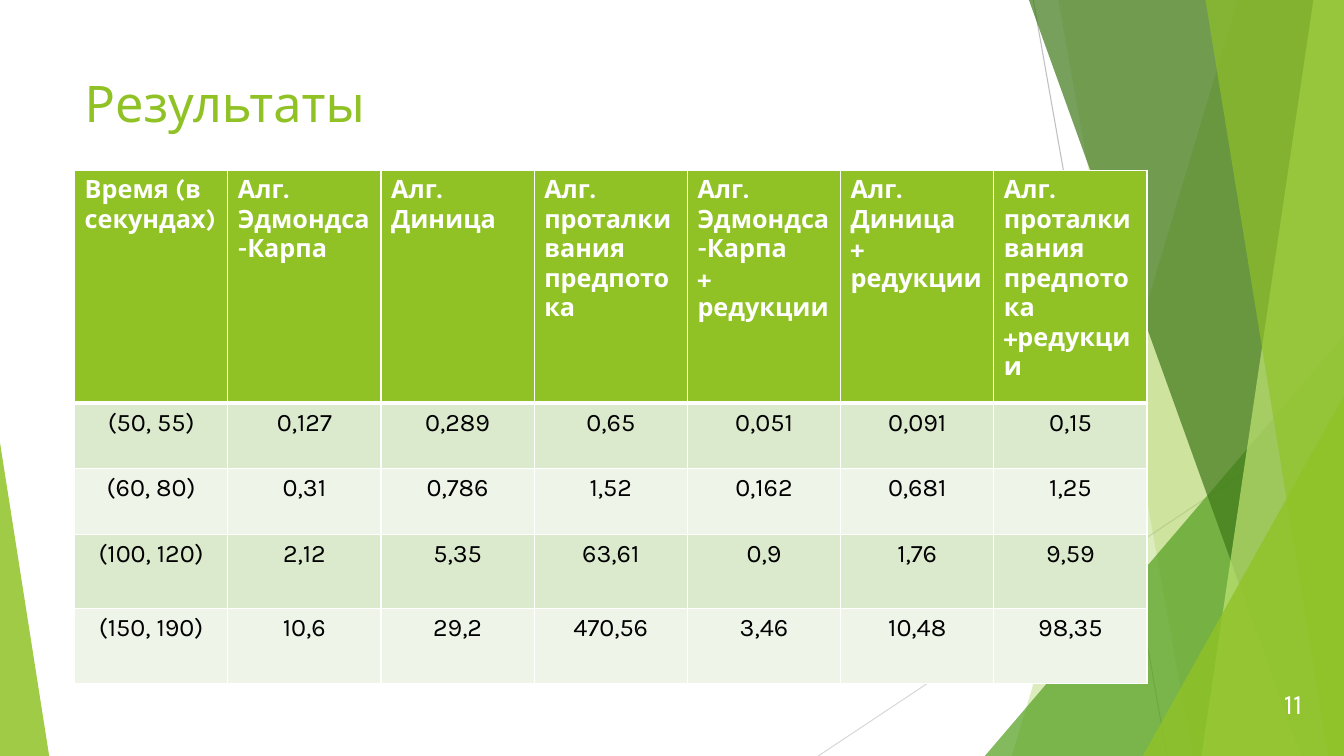
from lxml import etree
from pptx import Presentation
from pptx.dml.color import RGBColor
from pptx.enum.shapes import MSO_CONNECTOR, MSO_SHAPE
from pptx.enum.text import MSO_ANCHOR, PP_ALIGN
from pptx.oxml.ns import qn
from pptx.util import Cm, Pt

W, H = 33.87, 19.05
FONT = "Karla"
COLORS = {
    "green": "90C226", "leaf": "54A021", "forest": "3F7819", "lime": "C0E474",
    "band_dark": "DBE9CD", "band_light": "EEF4E8",
    "line_dark": "BFBFBF", "line_light": "D9D9D9",
    "white": "FFFFFF", "black": "000000",
}
HEADER = [
    ["Время (в секундах)"],
    ["Алг. Эдмондса-Карпа"],
    ["Алг. Диница"],
    ["Алг. проталкивания предпотока"],
    ["Алг. Эдмондса-Карпа", "+ редукции"],
    ["Алг. Диница", "+ редукции"],
    ["Алг. проталкивания предпотока", "+редукции"],
]
TIMES = [
    ["(50, 55)", "0,127", "0,289", "0,65", "0,051", "0,091", "0,15"],
    ["(60, 80)", "0,31", "0,786", "1,52", "0,162", "0,681", "1,25"],
    ["(100, 120)", "2,12", "5,35", "63,61", "0,9", "1,76", "9,59"],
    ["(150, 190)", "10,6", "29,2", "470,56", "3,46", "10,48", "98,35"],
]
ROW_HEIGHTS = [5.87, 1.65, 1.65, 1.88, 1.88]


def rgb(name):
    return RGBColor.from_string(COLORS[name])


def add_run(p, text, size, color, bold=False):
    r = p.add_run()
    r.text = text
    r.font.name, r.font.size, r.font.bold = FONT, Pt(size), bold
    r.font.color.rgb = rgb(color)


def paint(sp, color, opacity):
    """Fill a shape with a see-through colour, without line or shadow."""
    sp.shadow.inherit = False
    sp.line.fill.background()
    sp.fill.solid()
    sp.fill.fore_color.rgb = rgb(color)
    clr = sp.element.spPr.find(qn("a:solidFill"))[0]
    etree.SubElement(clr, qn("a:alpha"), val=str(opacity * 1000))


def add_ray(s, x1, y1, x2, y2, color):
    line = s.shapes.add_connector(MSO_CONNECTOR.STRAIGHT, Cm(x1), Cm(y1), Cm(x2), Cm(y2))
    line.line.color.rgb = rgb(color)
    line.line.width = Pt(0.75)
    etree.SubElement(line.element.spPr, qn("a:effectLst"))


def add_facet(s, top_x, bottom_x, color, opacity):
    """Full-height panel with a slanted left edge, ending at the right slide edge."""
    fb = s.shapes.build_freeform(Cm(top_x), 0)
    fb.add_line_segments([(Cm(W), 0), (Cm(W), Cm(H)), (Cm(bottom_x), Cm(H))], close=True)
    paint(fb.convert_to_shape(), color, opacity)


def add_corner(s, x, y, w, apex, color, opacity):
    """Triangle standing on the bottom slide edge; apex 0 is left, 1 is right."""
    sp = s.shapes.add_shape(MSO_SHAPE.ISOSCELES_TRIANGLE, Cm(x), Cm(y), Cm(w), Cm(H - y))
    sp.adjustments[0] = apex
    paint(sp, color, opacity)


def add_decoration(s):
    add_ray(s, 26.04, 0, 29.41, H, "line_dark")
    add_ray(s, W, 10.24, 20.62, H, "line_light")
    add_facet(s, 31.19, 25.5, "green", 30)
    add_facet(s, 26.67, 30.05, "green", 20)
    add_corner(s, 24.82, 8.46, W - 24.82, 1, "leaf", 72)
    add_facet(s, 25.93, 32.79, "forest", 70)
    add_facet(s, 33.1, 30.28, "lime", 70)
    add_facet(s, 30.38, 33.48, "green", 65)
    add_corner(s, 28.8, 9.98, W - 28.8, 1, "green", 80)
    add_corner(s, 0, 11.15, 1.24, 0, "green", 85)


def add_title(s, x, y, w, h):
    title = s.shapes.title
    s.shapes.element.append(title.element)  # bring to front
    title.left, title.top, title.width, title.height = Cm(x), Cm(y), Cm(w), Cm(h)
    tf = title.text_frame
    tf.vertical_anchor = MSO_ANCHOR.TOP
    p = tf.paragraphs[0]
    p.alignment = PP_ALIGN.LEFT
    add_run(p, "Результаты", 36, "green")


def add_page_number(s, x, y, w, h):
    tf = s.shapes.add_textbox(Cm(x), Cm(y), Cm(w), Cm(h)).text_frame
    tf.word_wrap = True
    tf.vertical_anchor = MSO_ANCHOR.MIDDLE
    p = tf.paragraphs[0]
    p.alignment = PP_ALIGN.RIGHT
    add_run(p, "11", 20, "white")


def set_borders(cell, top, bottom):
    tcPr = cell._tc.get_or_add_tcPr()
    for side, width in (("L", 1), ("R", 1), ("T", top), ("B", bottom)):
        ln = etree.SubElement(tcPr, qn(f"a:ln{side}"), w=str(Pt(width)))
        fill = etree.SubElement(ln, qn("a:solidFill"))
        etree.SubElement(fill, qn("a:srgbClr"), val=COLORS["white"])


def fill_cell(cell, lines, row):
    is_header = row == 0
    set_borders(cell, 3 if row == 1 else 1, 3 if is_header else 1)
    cell.fill.solid()
    band = "band_dark" if row % 2 else "band_light"
    cell.fill.fore_color.rgb = rgb("green" if is_header else band)
    tf = cell.text_frame
    for i, line in enumerate(lines):
        p = tf.add_paragraph() if i else tf.paragraphs[0]
        p.alignment = PP_ALIGN.LEFT if is_header else PP_ALIGN.CENTER
        add_run(p, line, 18, "white" if is_header else "black", is_header)


def add_results(s, x, y, w):
    rows = [HEADER] + [[[value] for value in row] for row in TIMES]
    frame = s.shapes.add_table(len(rows), len(HEADER), Cm(x), Cm(y),
                               Cm(w), Cm(sum(ROW_HEIGHTS)))
    table = frame.table
    for col in table.columns:
        col.width = Cm(w / len(HEADER))
    for i, (row, height) in enumerate(zip(rows, ROW_HEIGHTS)):
        table.rows[i].height = Cm(height)
        for j, lines in enumerate(row):
            fill_cell(table.cell(i, j), lines, i)


def main():
    prs = Presentation()
    prs.slide_width, prs.slide_height = Cm(W), Cm(H)
    s = prs.slides.add_slide(prs.slide_layouts[5])
    add_decoration(s)
    add_title(s, 1.88, 1.7, 23.88, 3.66)
    add_page_number(s, 31.17, 17.2, 1.9, 1.02)
    add_results(s, 1.88, 4.29, 27.03)
    prs.save("out.pptx")


if __name__ == "__main__":
    main()
